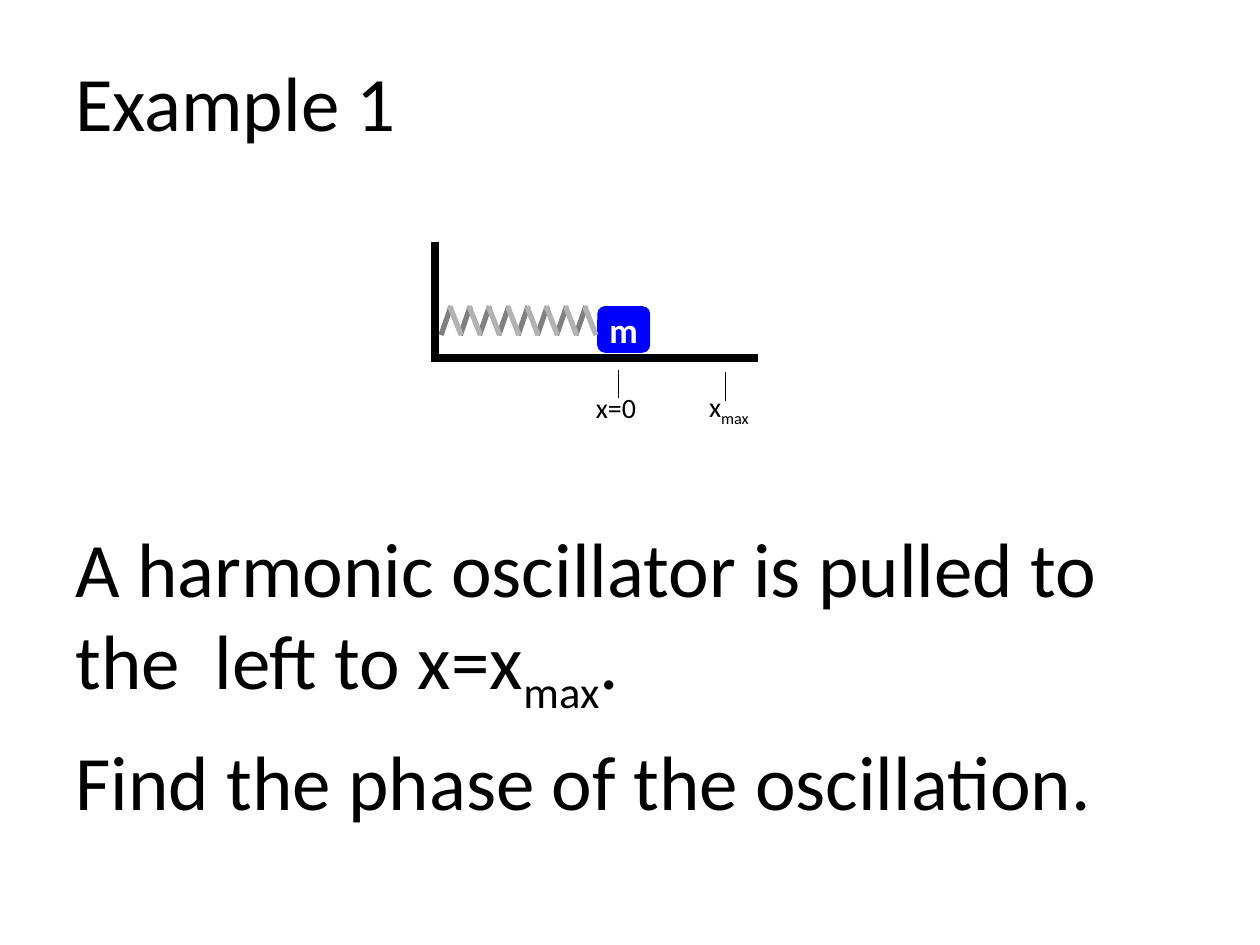
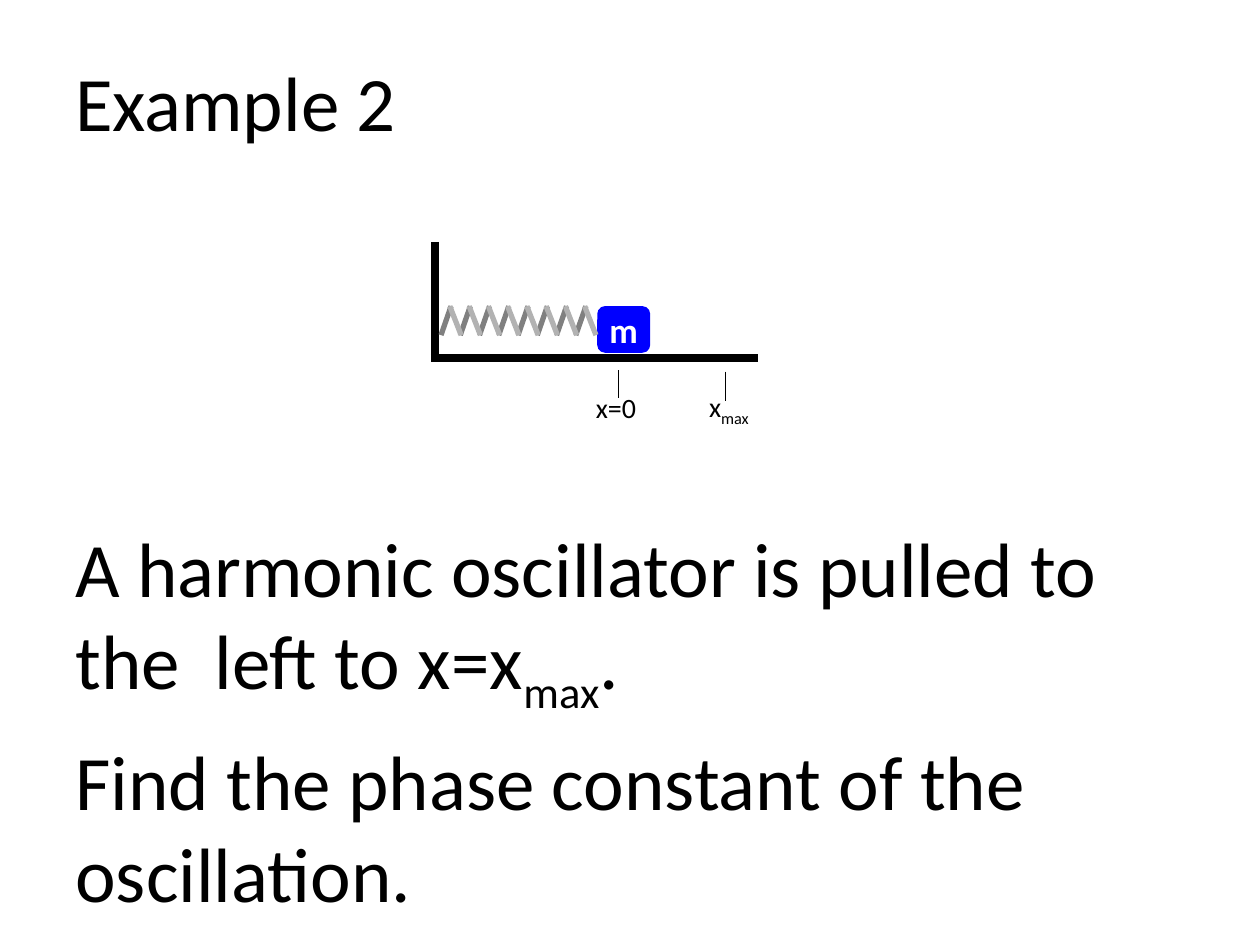
from dataclasses import dataclass
from lxml.etree import SubElement
from pptx import Presentation
from pptx.dml.color import RGBColor as Rgb
from pptx.enum.shapes import MSO_CONNECTOR as Link, MSO_SHAPE as Kind
from pptx.enum.text import MSO_ANCHOR as Anchor, PP_ALIGN as Align
from pptx.oxml.ns import qn
from pptx.shapes.shapetree import GroupShapes, SlideShapes
from pptx.util import Inches, Pt

FONT = "Calibri"
HUES = {"ink": "000000", "mass": "0000FF", "white": "FFFFFF",
        "dark": "808080", "light": "B2B2B2"}
COILS = 8
PITCH = 1.07 / (COILS - 1)
TOP, FOOT = 2.43, 2.66


@dataclass
class Label:
    left: float
    top: float
    width: float
    height: float
    paras: list[list[str]]
    size: float
    align: Align = Align.LEFT
    anchor: Anchor = Anchor.TOP
    wrap: bool = True


@dataclass
class Stroke:
    x1: float
    y1: float
    x2: float
    y2: float
    hue: str
    width: float


@dataclass
class Example:
    title: str
    task: str


EXAMPLES = [
    Example("Example 1", "Find the phase of the oscillation."),
    Example("Example 2", "Find the phase constant of the oscillation."),
]
FRAME = [
    Stroke(3.45, 1.92, 3.45, 2.84, "ink", 4.5),
    Stroke(3.42, 2.84, 6.02, 2.84, "ink", 4.5),
]
TICKS = [
    Stroke(4.91, 2.94, 4.91, 3.16, "ink", 0.75),
    Stroke(5.76, 2.95, 5.76, 3.18, "ink", 0.75),
]
MARKS = [
    Label(4.63, 3.05, 0.52, 0.37, [["x=0"]], 16, wrap=False),
    Label(5.53, 3.04, 0.93, 0.37, [["x", "max"]], 16),
]


def color(hue: str) -> Rgb:
    return Rgb.from_string(HUES[hue])


def add_label(shapes: SlideShapes | GroupShapes, label: Label) -> None:
    box = shapes.add_textbox(Inches(label.left), Inches(label.top),
                             Inches(label.width), Inches(label.height))
    frame = box.text_frame
    frame.word_wrap = label.wrap
    frame.vertical_anchor = label.anchor
    for i, parts in enumerate(label.paras):
        para = frame.add_paragraph() if i else frame.paragraphs[0]
        para.alignment = label.align
        if i:
            para.space_before = Pt(label.size * 0.2)
        for j, part in enumerate(parts):
            run = para.add_run()
            run.text = part
            run.font.name = FONT
            run.font.size = Pt(label.size)
            run.font.color.rgb = color("ink")
            if j % 2:
                run._r.get_or_add_rPr().set("baseline", "-25000")


def add_stroke(shapes: GroupShapes, stroke: Stroke) -> None:
    line = shapes.add_connector(Link.STRAIGHT, Inches(stroke.x1), Inches(stroke.y1),
                                Inches(stroke.x2), Inches(stroke.y2))
    line.line.color.rgb = color(stroke.hue)
    line.line.width = Pt(stroke.width)
    SubElement(line._element.spPr, qn("a:effectLst"))


def add_mass(shapes: GroupShapes) -> None:
    mass = shapes.add_shape(Kind.ROUNDED_RECTANGLE, Inches(4.74), Inches(TOP),
                            Inches(0.42), Inches(0.37))
    mass.shadow.inherit = False
    mass.fill.solid()
    mass.fill.fore_color.rgb = color("mass")
    mass.line.fill.background()
    frame = mass.text_frame
    frame.text = "m"
    frame.word_wrap = False
    frame.vertical_anchor = Anchor.MIDDLE
    para = frame.paragraphs[0]
    para.alignment = Align.CENTER
    font = para.runs[0].font
    font.name, font.size, font.bold = FONT, Pt(20), True
    font.color.rgb = color("white")


def spring() -> list[Stroke]:
    coils = []
    for i in reversed(range(COILS)):
        left = 3.5 + i * PITCH
        coils += [Stroke(left, FOOT, left + 0.08, TOP, "dark", 3),
                  Stroke(left + 0.16, FOOT, left + 0.07, TOP, "light", 3)]
    return coils


def add_model(shapes: SlideShapes) -> None:
    group = shapes.add_group_shape().shapes
    add_mass(group)
    for stroke in FRAME + spring() + TICKS:
        add_stroke(group, stroke)
    for mark in MARKS:
        add_label(group, mark)


def main() -> None:
    deck = Presentation()
    deck.slide_width, deck.slide_height = Inches(10), Inches(7.5)
    for item in EXAMPLES:
        shapes = deck.slides.add_slide(deck.slide_layouts[6]).shapes
        add_label(shapes, Label(0, 0.17, 3.74, 1.25, [[item.title]], 44,
                                Align.CENTER, Anchor.MIDDLE))
        setup = ["A harmonic oscillator is pulled to the  left to x=x", "max", "."]
        add_label(shapes, Label(0.5, 4.08, 9, 2.62, [setup, [item.task]], 44))
        add_model(shapes)
    deck.save("out.pptx")


if __name__ == "__main__":
    main()
